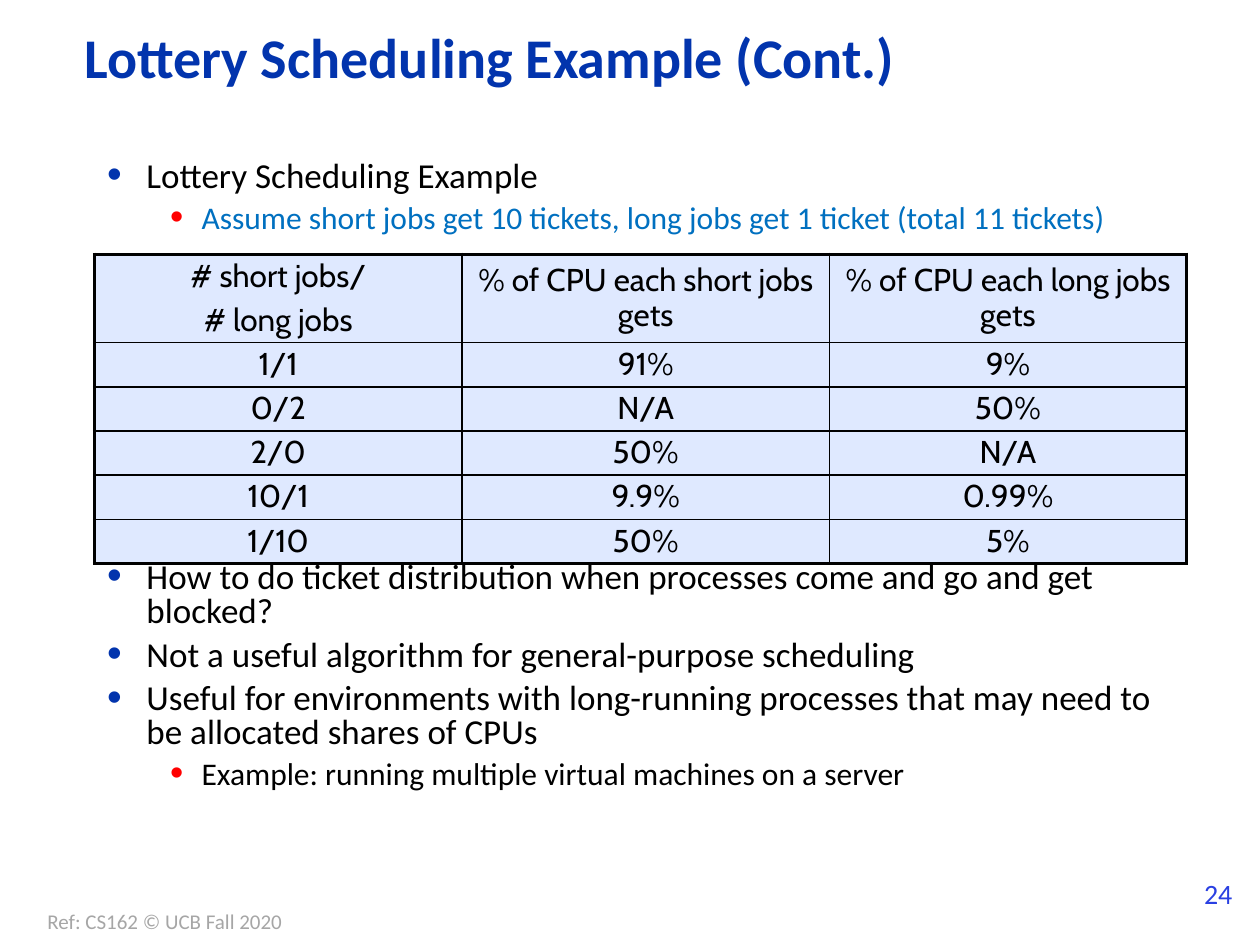
"""Build the lottery scheduling slide with its table of CPU shares."""
import pptx
import pptx.dml.color
import pptx.enum.text
import pptx.oxml
import pptx.oxml.ns
import pptx.util

Pt = pptx.util.Pt
ALIGN = pptx.enum.text.PP_ALIGN
ANCHOR = pptx.enum.text.MSO_ANCHOR
FIT = pptx.enum.text.MSO_AUTO_SIZE
NS = pptx.oxml.ns.nsdecls("a")

HUES = {
    "title": "0234AD", "text": "000000", "note": "0070C0", "dot": "FF0000",
    "cell": "DFE9FF", "page": "2A40E2", "ref": "A6A6A6",
}
LEVELS = [
    {"left": 22.5, "hang": 22.5, "size": 20, "dot": "title"},
    {"left": 54, "hang": 18, "size": 18, "dot": "dot"},
]
POINTS = [
    (0, "Lottery Scheduling Example", "text", 0),
    (1, "Assume short jobs get 10 tickets, long jobs get 1 ticket (total 11 tickets)", "note", 5.8),
    (0, "How to do ticket distribution when processes come and go and get blocked?", "text", 187),
    (0, "Not a useful algorithm for general-purpose scheduling", "text", 5.8),
    (0, "Useful for environments with long-running processes that may need to be "
        "allocated shares of CPUs", "text", 5.8),
    (1, "Example: running multiple virtual machines on a server", "text", 5.8),
]
ROWS = [
    ("# short jobs/\n# long jobs", "% of CPU each short jobs gets", "% of CPU each long jobs gets"),
    ("1/1", "91%", "9%"),
    ("0/2", "N/A", "50%"),
    ("2/0", "50%", "N/A"),
    ("10/1", "9.9%", "0.99%"),
    ("1/10", "50%", "5%"),
]
WIDTHS = [210, 210, 204]
HEIGHTS = [50.4] + [24.8] * 5


def put(item, form):
    """Set each attribute that the format dict names."""
    for key, value in form.items():
        setattr(item, key, value)


def place(shape, left, top, width, height):
    """Move and size a shape in points."""
    put(shape, {"left": Pt(left), "top": Pt(top), "width": Pt(width), "height": Pt(height)})


def write(par, text, size, hue, face="Calibri", bold=False):
    """Add one styled run to a paragraph."""
    run = par.add_run()
    run.text = text
    put(run.font, {"size": Pt(size), "name": face, "bold": bold})
    run.font.color.rgb = pptx.dml.color.RGBColor.from_string(HUES[hue])


def add_par(frame, index):
    """Return the first paragraph or a new one."""
    return frame.add_paragraph() if index else frame.paragraphs[0]


def add_dot(par, level):
    """Give a paragraph its bullet and hanging indent."""
    props = par._p.get_or_add_pPr()
    props.set("marL", str(Pt(level["left"])))
    props.set("indent", str(-Pt(level["hang"])))
    for part in (
        f'<a:buClr {NS}><a:srgbClr val="{HUES[level["dot"]]}"/></a:buClr>',
        f'<a:buSzPct {NS} val="120000"/>',
        f'<a:buFont {NS} typeface="Arial"/>',
        f'<a:buChar {NS} char="•"/>',
    ):
        props.append(pptx.oxml.parse_xml(part))


def add_title(slide):
    """Fill the title placeholder."""
    title = slide.shapes.title
    place(title, 41, 13.7, 563.8, 41.8)
    put(title.text_frame, {"vertical_anchor": ANCHOR.MIDDLE, "auto_size": FIT.NONE})
    par = title.text_frame.paragraphs[0]
    put(par, {"alignment": ALIGN.LEFT, "line_spacing": 0.9, "space_before": Pt(0)})
    write(par, "Lottery Scheduling Example (Cont.)", 32, "title", bold=True)


def add_list(slide):
    """Fill the body placeholder and bring it to the front."""
    body = slide.placeholders[1]
    place(body, 54, 88.6, 632.2, 367.2)
    body.text_frame.auto_size = FIT.NONE
    for index, (depth, text, hue, gap) in enumerate(POINTS):
        par = add_par(body.text_frame, index)
        put(par, {"level": depth, "line_spacing": 0.8, "space_before": Pt(gap)})
        add_dot(par, LEVELS[depth])
        write(par, text, LEVELS[depth]["size"], hue)
    body.element.getparent().append(body.element)


def add_edge(cell, side, thick):
    """Draw one border line of a cell."""
    width = Pt(2.25 if thick else 1)
    cell._tc.get_or_add_tcPr().append(pptx.oxml.parse_xml(
        f'<a:ln{side} {NS} w="{width}"><a:solidFill>'
        f'<a:srgbClr val="{HUES["text"]}"/></a:solidFill></a:ln{side}>'))


def fill_cell(cell, text, edges):
    """Write, outline and colour one table cell."""
    put(cell, {"vertical_anchor": ANCHOR.MIDDLE, "margin_left": Pt(7.9), "margin_right": Pt(7.9),
               "margin_top": Pt(2.9), "margin_bottom": Pt(2.9)})
    for index, line in enumerate(text.split("\n")):
        par = add_par(cell.text_frame, index)
        put(par, {"alignment": ALIGN.CENTER, "line_spacing": 0.9,
                  "space_before": Pt(5.4 if index else 0)})
        write(par, line, 18, "text", "Cabin")
    for side, thick in edges.items():
        add_edge(cell, side, thick)
    cell.fill.solid()
    cell.fill.fore_color.rgb = pptx.dml.color.RGBColor.from_string(HUES["cell"])


def add_grid(slide):
    """Add the table of CPU shares with a thick outer frame."""
    table = slide.shapes.add_table(
        len(ROWS), len(WIDTHS), Pt(54), Pt(145.4), Pt(sum(WIDTHS)), Pt(sum(HEIGHTS))).table
    put(table, {"first_row": False, "horz_banding": False})
    for col, width in zip(table.columns, WIDTHS):
        col.width = Pt(width)
    for row, height in zip(table.rows, HEIGHTS):
        row.height = Pt(height)
    for y, row in enumerate(ROWS):
        for x, text in enumerate(row):
            edges = {"L": x == 0, "R": x == len(WIDTHS) - 1, "T": y == 0, "B": y == len(ROWS) - 1}
            fill_cell(table.cell(y, x), text, edges)


def add_note(slide, box, text, size, hue):
    """Add a one-line text box."""
    frame = slide.shapes.add_textbox(*map(Pt, box)).text_frame
    put(frame, {"word_wrap": False, "auto_size": FIT.SHAPE_TO_FIT_TEXT})
    write(frame.paragraphs[0], text, size, hue)


def main():
    """Build and save the slide."""
    deck = pptx.Presentation()
    put(deck, {"slide_width": Pt(720), "slide_height": Pt(540)})
    slide = deck.slides.add_slide(deck.slide_layouts[1])
    add_note(slide, (681, 497.5, 33, 26.6), "24", 16, "page")
    add_title(slide)
    add_grid(slide)
    add_list(slide)
    add_note(slide, (20, 515.5, 150.5, 21.6), "Ref: CS162 © UCB Fall 2020", 12, "ref")
    deck.save("out.pptx")


if __name__ == "__main__":
    main()
